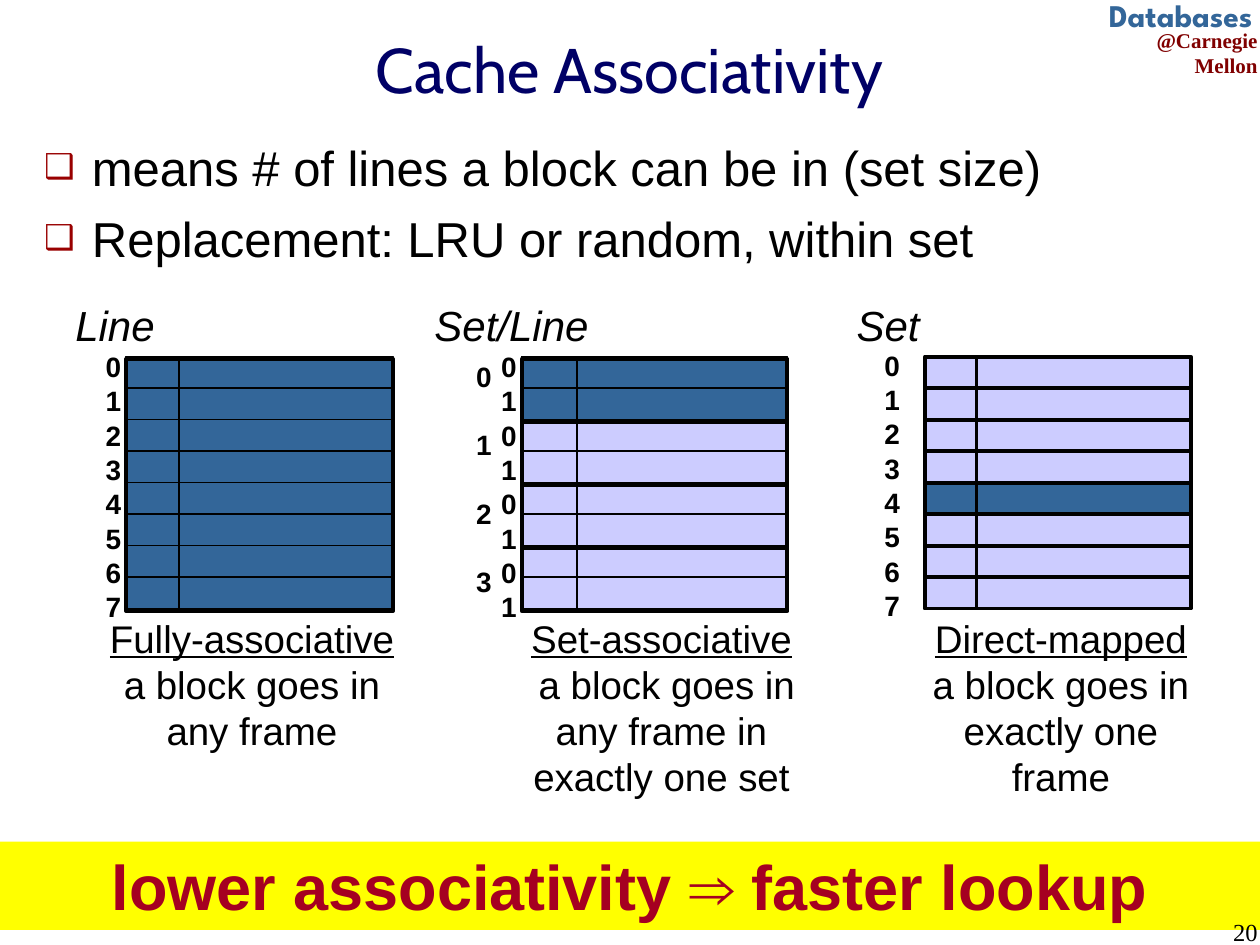
from collections import namedtuple

from lxml import etree
from pptx import Presentation
from pptx.dml.color import RGBColor
from pptx.enum.shapes import MSO_CONNECTOR as Connector, MSO_SHAPE as Shape
from pptx.enum.text import MSO_ANCHOR as Anchor, MSO_AUTO_SIZE as AutoSize, PP_ALIGN as Align
from pptx.oxml.ns import qn
from pptx.util import Inches, Pt

COLORS = {
    "black": "000000",
    "navy": "000066",
    "maroon": "800000",
    "bullet": "990000",
    "allowed": "336699",
    "other": "CCCCFF",
    "yellow": "FFFF00",
    "crimson": "A50021",
}
ROWS = 8
ROW_HEIGHT = 0.25
Box = namedtuple("Box", "left top width height")
Cache = namedtuple("Cache", "heading name rule allowed row_line group_size labels")


def rgb(name):
    return RGBColor.from_string(COLORS[name])


def inches(box):
    return [Inches(value) for value in box]


def style(para, size, color="black", font="Arial", bold=False, italic=False, underline=False):
    para.font.size = Pt(size)
    para.font.name = font
    para.font.color.rgb = rgb(color)
    para.font.bold = bold
    para.font.italic = italic
    para.font.underline = underline


def add_text(page, box, text, size, align=Align.LEFT, wrap=True, **look):
    frame = page.shapes.add_textbox(*inches(box)).text_frame
    frame.word_wrap = wrap
    frame.text = text
    for para in frame.paragraphs:
        para.alignment = align
        style(para, size, **look)
    return frame


def add_rectangle(page, box, fill=None, line=None):
    rectangle = page.shapes.add_shape(Shape.RECTANGLE, *inches(box))
    rectangle.shadow.inherit = False
    if fill:
        rectangle.fill.solid()
        rectangle.fill.fore_color.rgb = rgb(fill)
    else:
        rectangle.fill.background()
    if line:
        rectangle.line.color.rgb = rgb("black")
        rectangle.line.width = Pt(line)
    else:
        rectangle.line.fill.background()
    return rectangle


def add_bullet(para):
    props = para._p.get_or_add_pPr()
    props.set("marL", str(Inches(0.38)))
    props.set("indent", str(-Inches(0.38)))
    color = etree.SubElement(props, qn("a:buClr"))
    etree.SubElement(color, qn("a:srgbClr"), val=COLORS["bullet"])
    etree.SubElement(props, qn("a:buSzPct"), val="70000")
    etree.SubElement(props, qn("a:buChar"), char="❑")


def place(placeholder, box, anchor):
    placeholder.left, placeholder.top, placeholder.width, placeholder.height = inches(box)
    frame = placeholder.text_frame
    frame.auto_size = AutoSize.NONE
    frame.vertical_anchor = anchor
    return frame


def add_course_mark(page, box):
    add_text(page, Box(box.left, box.top + 0.25, box.width, 0.3), "@Carnegie Mellon", 12,
             Align.RIGHT, wrap=False, font="Times New Roman", color="maroon", bold=True)
    add_text(page, Box(box.left, box.top, box.width - 0.04, 0.4), "Databases", 18,
             Align.RIGHT, wrap=False, font="League Spartan", color="allowed", bold=True)


def fill_title(page, box):
    frame = place(page.shapes.title, box, Anchor.MIDDLE)
    frame.text = "Cache Associativity"
    para = frame.paragraphs[0]
    para.alignment = Align.CENTER
    style(para, 36, "navy", "Cabin")


def fill_body(page, box, points):
    frame = place(page.placeholders[1], box, Anchor.TOP)
    frame.text = "\n".join(points)
    for index, para in enumerate(frame.paragraphs):
        add_bullet(para)
        para.space_before = Pt(7 if index else 0)
        style(para, 28)


def add_labels(page, left, top, labels, gap):
    frame = add_text(page, Box(left, top, 0.33, 2.14), "\n".join(labels), 16, bold=True)
    for index, para in enumerate(frame.paragraphs):
        para.line_spacing = 0.5
        para.space_before = Pt(gap if index else 0)


def add_divider(page, left, top, height, width):
    divider = page.shapes.add_connector(
        Connector.STRAIGHT, Inches(left), Inches(top), Inches(left), Inches(top + height))
    divider.line.color.rgb = rgb("black")
    divider.line.width = Pt(width)
    etree.SubElement(divider._element.spPr, qn("a:effectLst"))


def add_cache(page, box, divider, cache):
    for row in range(ROWS):
        fill = "allowed" if row in cache.allowed else "other"
        add_rectangle(page, Box(box.left, box.top + row * ROW_HEIGHT, box.width, ROW_HEIGHT),
                      fill, cache.row_line)
    add_divider(page, box.left + divider, box.top, box.height, cache.row_line)

    if cache.group_size:
        group_height = cache.group_size * ROW_HEIGHT
        for group in range(ROWS // cache.group_size):
            add_rectangle(page, Box(box.left, box.top + 0.02 + group * group_height,
                                    box.width, group_height), line=2.25)

    for offset, drop, labels, gap in cache.labels:
        add_labels(page, box.left + offset, box.top + drop, labels, gap)


def add_caption(page, box, cache):
    frame = add_text(page, box, f"{cache.name}\n{cache.rule}", 22, Align.CENTER)
    frame.paragraphs[0].font.underline = True


def add_column(page, cache_box, divider, heading_left, caption_left, cache):
    add_text(page, Box(heading_left, cache_box.top - 0.5, 1.6, 0.5), cache.heading, 24, italic=True)
    add_cache(page, cache_box, divider, cache)
    add_caption(page, Box(caption_left, cache_box.top + cache_box.height, 2.5, 1.57), cache)


def add_conclusion(page, box):
    band = add_rectangle(page, box, "yellow")
    frame = band.text_frame
    frame.word_wrap = True
    frame.vertical_anchor = Anchor.TOP
    frame.text = "lower associativity ⇒ faster lookup"
    para = frame.paragraphs[0]
    para.alignment = Align.CENTER
    style(para, 36, "crimson", bold=True)


def main():
    deck = Presentation()
    deck.slide_width, deck.slide_height = Inches(10), Inches(7.5)
    page = deck.slides.add_slide(deck.slide_layouts[1])

    add_course_mark(page, Box(8.54, -0.08, 1.54, 0.55))
    fill_title(page, Box(0.08, 0.17, 9.83, 0.75))
    fill_body(page, Box(0.25, 1.04, 9.17, 1.37), [
        "means # of lines a block can be in (set size)",
        "Replacement: LRU or random, within set",
    ])

    numbers = [str(row) for row in range(ROWS)]
    fully = Cache("Line", "Fully-associative", "a block goes in any frame",
                  range(ROWS), 0.75, ROWS, [(-0.26, 0.01, numbers, 10)])
    by_set = Cache("Set/Line", "Set-associative", " a block goes in any frame in exactly one set",
                   range(2), 0.75, 2,
                   [(-0.46, 0.09, numbers[:4], 29.5), (-0.26, 0.01, numbers[:2] * 4, 10)])
    direct = Cache("Set", "Direct-mapped", "a block goes in exactly one frame",
                   [4], 2.25, None, [(-0.42, 0, numbers, 10)])

    top, height = 2.83, ROWS * ROW_HEIGHT
    add_column(page, Box(1, top, 2.12, height), 0.42, 0.5, 0.75, fully)
    add_column(page, Box(4.14, top, 2.11, height), 0.44, 3.35, 4, by_set)
    add_column(page, Box(7.34, top, 2.11, height), 0.41, 6.7, 7.17, direct)

    add_conclusion(page, Box(0, 6.68, 10, 0.7))
    add_text(page, Box(7.75, 7.23, 2.33, 0.52), "20", 14, Align.RIGHT, font="Times New Roman")
    deck.save("out.pptx")


if __name__ == "__main__":
    main()
